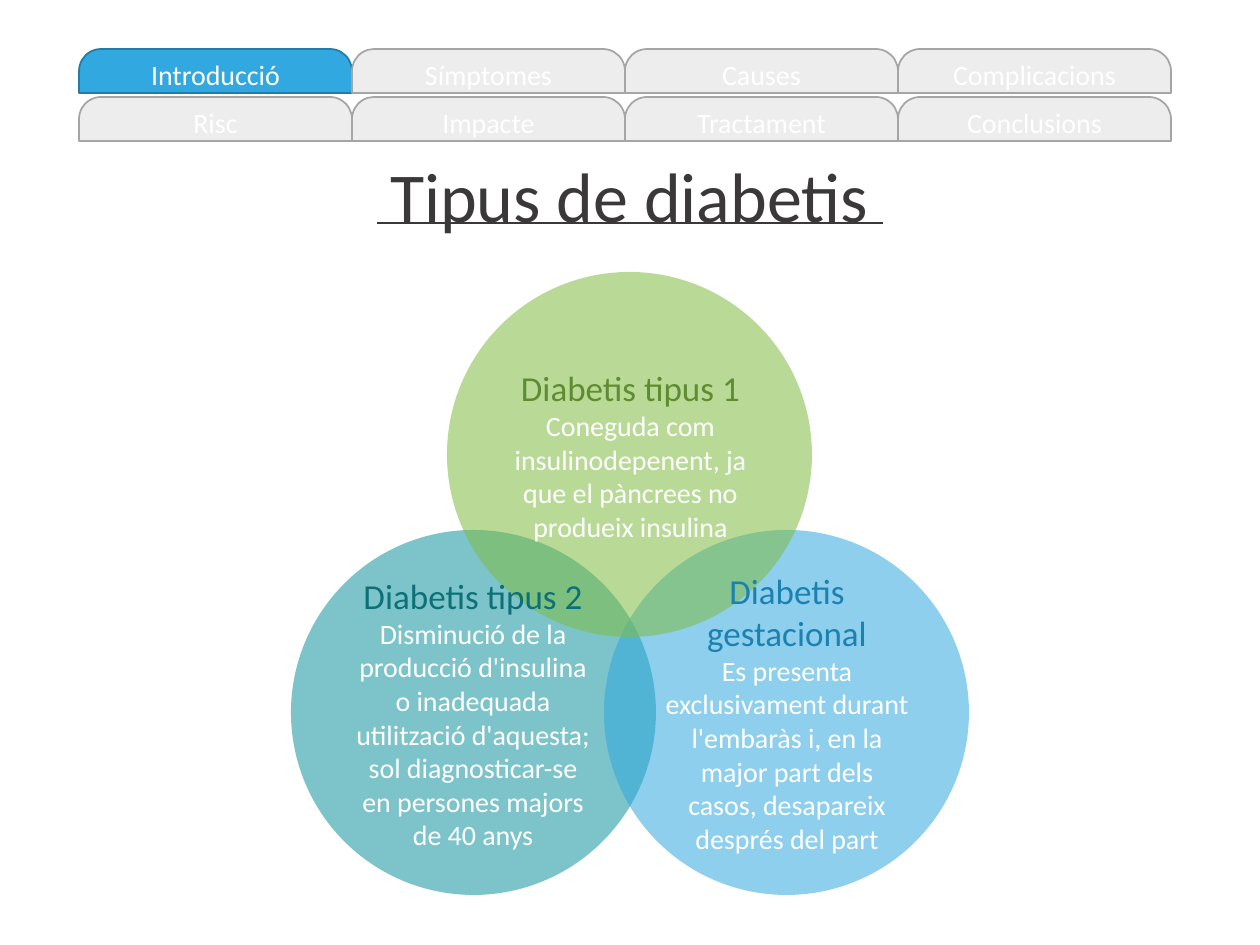
from lxml.etree import SubElement
from pptx import Presentation
from pptx.dml.color import RGBColor
from pptx.enum.shapes import MSO_CONNECTOR, MSO_SHAPE
from pptx.enum.text import MSO_ANCHOR, PP_ALIGN
from pptx.oxml.ns import qn
from pptx.util import Pt

EMU_PER_PX = 914400 / 126
FONT = "Calibri"
WHITE, DARK = "FFFFFF", "3A3838"

TABS = [
    ["Introducció", "Símptomes", "Causes", "Complicacions"],
    ["Risc", "Impacte", "Tractament", "Conclusions"],
]
ACTIVE_TAB = "Introducció"

DIAMETER = 365
# Circle offset in the diagram, circle colour, text box in the circle,
# heading colour, heading, description
TYPES = [
    ((0, 258), "12959F", (48, 37, 268, 292), "0D6F77", "Diabetis tipus 2",
     "Disminució de la producció d'insulina o inadequada utilització d'aquesta; "
     "sol diagnosticar-se en persones majors de 40 anys"),
    ((313, 258), "31A8DF", (49, 53, 268, 258), "1B81B0", "Diabetis gestacional",
     "Es presenta exclusivament durant l'embaràs i, en la major part dels casos, "
     "desapareix després del part"),
    ((156, 0), "7FBC41", (46, 88, 275, 190), "5F8C30", "Diabetis tipus 1",
     "Coneguda com insulinodepenent, ja que el pàncrees no produeix insulina"),
]


def px(*lengths):
    return [round(length * EMU_PER_PX) for length in lengths]


def color(value):
    return RGBColor.from_string(value)


def format_paragraph(paragraph, size, value):
    paragraph.alignment = PP_ALIGN.CENTER
    for run in paragraph.runs:
        run.font.name = FONT
        run.font.size = Pt(size)
        run.font.color.rgb = color(value)


def add_filled_shape(slide, kind, box, fill):
    shape = slide.shapes.add_shape(kind, *px(*box))
    shape.shadow.inherit = False
    shape.fill.solid()
    shape.fill.fore_color.rgb = color(fill)
    return shape


def set_opacity(shape, percent):
    solid_color = shape.fill._xPr.find(qn("a:solidFill")).find(qn("a:srgbClr"))
    SubElement(solid_color, qn("a:alpha")).set("val", str(percent * 1000))


def add_heading(slide, left, top, width, height):
    title = slide.shapes.title
    title.left, title.top, title.width, title.height = px(left, top, width, height)
    title.text_frame.text = "Tipus de diabetis"
    title.text_frame.word_wrap = False
    title.text_frame.vertical_anchor = MSO_ANCHOR.TOP
    format_paragraph(title.text_frame.paragraphs[0], 40, DARK)

    rule_top = top + 77
    rule = slide.shapes.add_connector(
        MSO_CONNECTOR.STRAIGHT, *px(left + 2, rule_top, left + width, rule_top))
    rule.line.color.rgb = color(DARK)
    rule.line.width = Pt(1)
    SubElement(rule._element.spPr, qn("a:effectLst"))


def add_tabs(slide, left, top, width, height):
    tab_width, tab_height, pitch = width / len(TABS[0]), 44, height - 44
    for row, names in enumerate(TABS):
        for column, name in enumerate(names):
            active = name == ACTIVE_TAB
            box = (left + column * tab_width, top + row * pitch, tab_width, tab_height)
            tab = add_filled_shape(slide, MSO_SHAPE.ROUND_2_SAME_RECTANGLE, box,
                                   "31A8DF" if active else "EDEDED")
            tab.adjustments[0], tab.adjustments[1] = 0.5, 0
            tab.line.color.rgb = color("247CA5" if active else "A5A5A5")
            tab.line.width = Pt(1)
            frame = tab.text_frame
            frame.margin_left = frame.margin_right = 0
            frame.margin_top = frame.margin_bottom = 0
            frame.vertical_anchor = MSO_ANCHOR.MIDDLE
            frame.text = name
            format_paragraph(frame.paragraphs[0], 16, WHITE)


def add_type_text(slide, box, heading_color, heading, description):
    frame = slide.shapes.add_textbox(*px(*box)).text_frame
    frame.word_wrap = True
    frame.vertical_anchor = MSO_ANCHOR.MIDDLE
    frame.text = f"{heading}\n{description}"
    format_paragraph(frame.paragraphs[0], 20, heading_color)
    format_paragraph(frame.paragraphs[1], 16, WHITE)


def add_venn(slide, left, top):
    """Draw all circles first, so that every text lies above them."""
    for (x, y), fill, *_ in TYPES:
        circle = add_filled_shape(slide, MSO_SHAPE.OVAL,
                                  (left + x, top + y, DIAMETER, DIAMETER), fill)
        set_opacity(circle, 55)
        circle.line.fill.background()
    for (x, y), _, (inset_x, inset_y, width, height), *content in TYPES:
        box = (left + x + inset_x, top + y + inset_y, width, height)
        add_type_text(slide, box, *content)


def main():
    presentation = Presentation()
    presentation.slide_width, presentation.slide_height = px(1260, 945)
    slide = presentation.slides.add_slide(presentation.slide_layouts[5])
    add_heading(slide, 375, 146, 508, 97)
    add_tabs(slide, 79, 49, 1092, 92)
    add_venn(slide, 291, 272)
    presentation.save("out.pptx")


if __name__ == "__main__":
    main()
